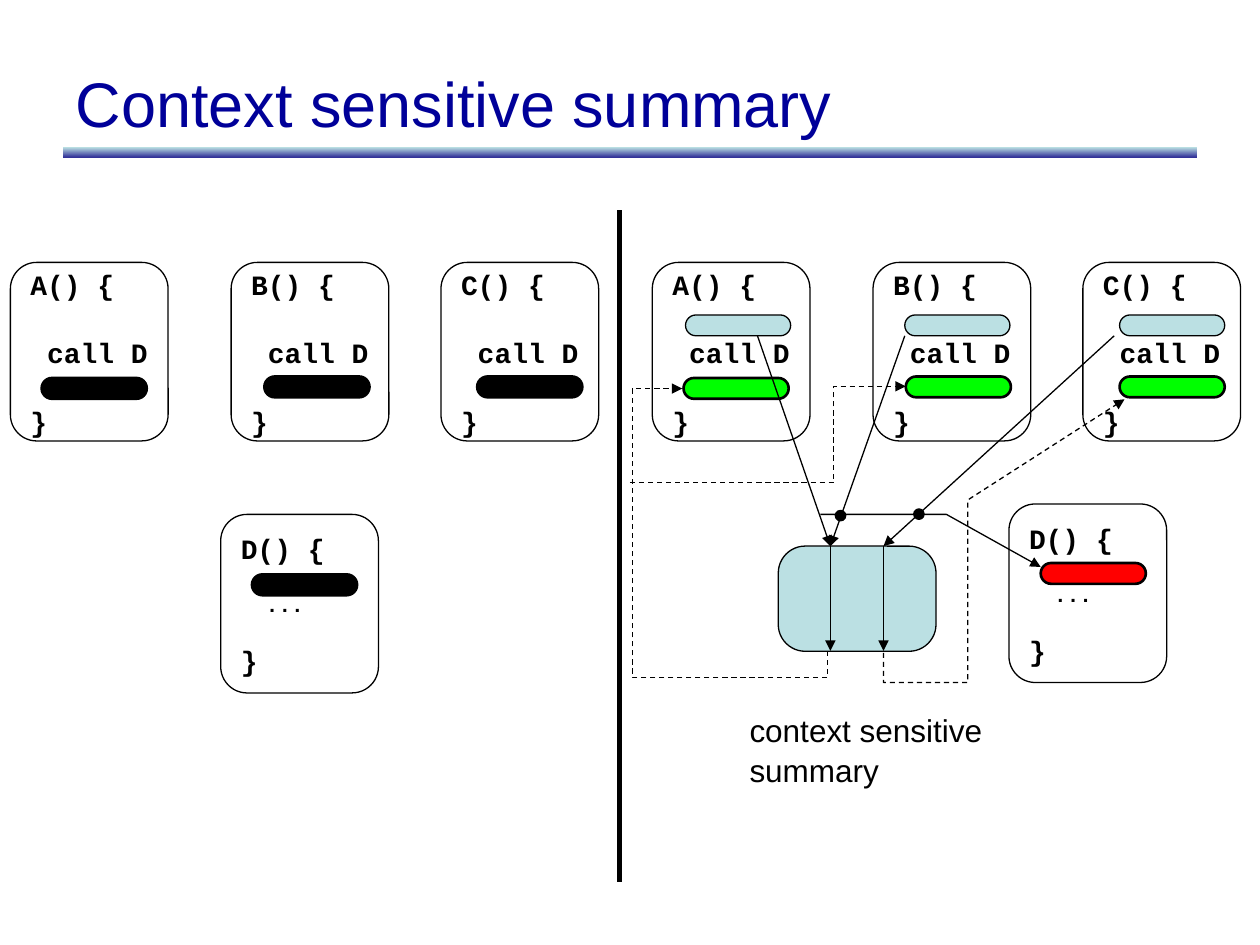
from dataclasses import dataclass

from lxml import etree
from pptx import Presentation
from pptx.dml.color import RGBColor
from pptx.enum import dml, shapes, text
from pptx.oxml import ns
from pptx.util import Cm, Pt

BLACK = RGBColor(0x00, 0x00, 0x00)
NAVY = RGBColor(0x00, 0x00, 0x99)
INDIGO = RGBColor(0x33, 0x33, 0x99)
PALE_BLUE = RGBColor(0xBB, 0xE0, 0xE3)
GREEN = RGBColor(0x00, 0xFF, 0x00)
RED = RGBColor(0xFF, 0x00, 0x00)

SHAPE = shapes.MSO_SHAPE
CONNECTOR = shapes.MSO_CONNECTOR
LINE_SPACING = 1.05
BOX_WIDTH, BOX_HEIGHT, BOX_TOP = 3.18, 3.6, 5.29
BOX_LEFTS = (0.21, 4.66, 8.89)
RIGHT_PANEL = 12.94
PILL_WIDTH, PILL_HEIGHT = 2.12, 0.42

Point = tuple[float, float]


@dataclass(frozen=True)
class CodeLine:
    content: str
    size: float = 16
    space_before: float = 0


@dataclass(frozen=True)
class Pill:
    left: float
    top: float
    color: RGBColor
    line_width: float = 1.5


@dataclass(frozen=True)
class Arrow:
    begin: Point
    end: Point


def apply_format(target, values: dict) -> None:
    for name, value in values.items():
        setattr(target, name, value)


def set_font(paragraph, name: str, size: float, color: RGBColor, bold: bool = False) -> None:
    apply_format(paragraph.font, {"name": name, "size": Pt(size), "bold": bold})
    paragraph.font.color.rgb = color


def set_line(shape, width: float = 0.75, dashed: bool = False, arrow: bool = False) -> None:
    shape.line.color.rgb = BLACK
    shape.line.width = Pt(width)
    if dashed:
        shape.line.dash_style = dml.MSO_LINE.DASH
    if arrow:
        outline = shape.element.spPr.find(ns.qn("a:ln"))
        etree.SubElement(outline, ns.qn("a:tailEnd"), type="triangle")


def add_preset(slide, kind, left: float, top: float, width: float, height: float,
               color: RGBColor | None = None, line_width: float = 0.75,
               rounding: float | None = None):
    shape = slide.shapes.add_shape(kind, Cm(left), Cm(top), Cm(width), Cm(height))
    shape.shadow.inherit = False
    if color is None:
        shape.fill.background()
    else:
        shape.fill.solid()
        shape.fill.fore_color.rgb = color
    set_line(shape, line_width)
    if rounding is not None:
        shape.adjustments[0] = rounding
    return shape


def add_function_box(slide, left: float, top: float, lines: list[CodeLine]) -> None:
    shape = add_preset(slide, SHAPE.ROUNDED_RECTANGLE, left, top, BOX_WIDTH, BOX_HEIGHT,
                       rounding=0.167)
    frame = shape.text_frame
    apply_format(frame, {"word_wrap": True, "margin_right": 0,
                         "vertical_anchor": text.MSO_ANCHOR.MIDDLE})
    for index, line in enumerate(lines):
        paragraph = frame.paragraphs[0] if index == 0 else frame.add_paragraph()
        paragraph.text = line.content
        apply_format(paragraph, {"alignment": text.PP_ALIGN.LEFT,
                                 "line_spacing": LINE_SPACING,
                                 "space_before": Pt(line.space_before)})
        set_font(paragraph, "Courier New", line.size, BLACK, bold=True)


def add_pill(slide, pill: Pill) -> None:
    add_preset(slide, SHAPE.ROUNDED_RECTANGLE, pill.left, pill.top, PILL_WIDTH, PILL_HEIGHT,
               pill.color, pill.line_width, rounding=0.5)


def add_line(slide, begin: Point, end: Point, kind=CONNECTOR.STRAIGHT, **line_format):
    connector = slide.shapes.add_connector(kind, *map(Cm, begin + end))
    set_line(connector, **line_format)
    etree.SubElement(connector.element.spPr, ns.qn("a:effectLst"))
    return connector


def add_elbow(slide, begin: Point, end: Point, adjustments: list[int],
              preset: str = "bentConnector3", rotation: int = 0) -> None:
    connector = add_line(slide, begin, end, CONNECTOR.ELBOW, dashed=True, arrow=True)
    properties = connector.element.spPr
    properties.find(ns.qn("a:xfrm")).set("rot", str(rotation * 60000))
    geometry = properties.find(ns.qn("a:prstGeom"))
    geometry.set("prst", preset)
    guides = geometry.find(ns.qn("a:avLst"))
    for number, value in enumerate(adjustments, start=1):
        etree.SubElement(guides, ns.qn("a:gd"), name=f"adj{number}", fmla=f"val {value}")


def add_path(slide, points: list[Point], dashed: bool = False) -> None:
    start, *rest = [(Cm(x), Cm(y)) for x, y in points]
    builder = slide.shapes.build_freeform(*start)
    builder.add_line_segments(rest, close=False)
    shape = builder.convert_to_shape()
    shape.shadow.inherit = False
    shape.fill.background()
    set_line(shape, dashed=dashed, arrow=True)


def add_heading(slide) -> None:
    rule = add_preset(slide, SHAPE.RECTANGLE, 1.27, 2.97, 22.86, 0.2)
    rule.line.fill.background()
    rule.fill.gradient()
    rule.fill.gradient_angle = 270
    for stop, color, position in zip(rule.fill.gradient_stops, (PALE_BLUE, INDIGO), (0, 1)):
        stop.color.rgb = color
        stop.position = position

    title = slide.shapes.title
    apply_format(title, {"left": Cm(1.27), "top": Cm(0.76),
                         "width": Cm(22.86), "height": Cm(2.62)})
    title.text_frame.text = "Context sensitive summary"
    title.text_frame.vertical_anchor = text.MSO_ANCHOR.MIDDLE
    paragraph = title.text_frame.paragraphs[0]
    paragraph.alignment = text.PP_ALIGN.LEFT
    set_font(paragraph, "Arial", 36, NAVY)


def add_caption(slide) -> None:
    caption = slide.shapes.add_textbox(Cm(14.86), Cm(14.17), Cm(5.21), Cm(1.78))
    frame = caption.text_frame
    apply_format(frame, {"word_wrap": True, "margin_right": 0})
    frame.text = "context sensitive\nsummary"
    for paragraph in frame.paragraphs:
        paragraph.line_spacing = LINE_SPACING
        set_font(paragraph, "Arial", 18, BLACK)


def main() -> None:
    presentation = Presentation()
    presentation.slide_width, presentation.slide_height = Cm(25.4), Cm(19.05)
    slide = presentation.slides.add_slide(presentation.slide_layouts[5])
    add_heading(slide)

    # Callers A, B, C in both panels, then the callee D
    for panel in (0, RIGHT_PANEL):
        for name, left in zip("ABC", BOX_LEFTS):
            add_function_box(slide, panel + left, BOX_TOP, [
                CodeLine(f"{name}() {{"), CodeLine(" call D", space_before=19),
                CodeLine("}", space_before=19)])
    for left, top in ((4.45, 10.37), (20.34, 10.16)):
        add_function_box(slide, left, top, [
            CodeLine("D() {"), CodeLine("  ...", 12, 14.3), CodeLine("}", space_before=14.3)])

    # Code regions before and after the calls
    for pill in (
        Pill(0.84, 7.62, BLACK), Pill(5.33, 7.59, BLACK), Pill(9.62, 7.59, BLACK),
        Pill(5.08, 11.58, BLACK), Pill(20.98, 11.35, RED),
        Pill(13.82, 6.35, PALE_BLUE, 0.75), Pill(18.24, 6.35, PALE_BLUE, 0.75),
        Pill(22.57, 6.35, PALE_BLUE, 0.75),
        Pill(13.78, 7.62, GREEN), Pill(18.26, 7.59, GREEN), Pill(22.57, 7.59, GREEN),
    ):
        add_pill(slide, pill)

    # Summary box with the flows into and through it
    add_preset(slide, SHAPE.ROUNDED_RECTANGLE, 15.69, 11.01, 3.18, 2.12, PALE_BLUE,
               rounding=0.256)
    entry_one, entry_two = (16.74, 11.01), (17.81, 11.01)
    for arrow in (
        Arrow((15.27, 6.77), entry_one), Arrow((18.24, 6.77), entry_one),
        Arrow(entry_one, (16.74, 13.12)),
        Arrow((22.46, 6.77), entry_two), Arrow(entry_two, (17.81, 13.12)),
    ):
        add_line(slide, arrow.begin, arrow.end, arrow=True)

    # Return flows to the callers, and the link to D
    add_elbow(slide, (12.57, 11.94), (17.86, 9.02), [-10200, 134500], "bentConnector4", 270)
    add_elbow(slide, (12.7, 9.73), (18.26, 7.79), [73900])
    add_path(slide, [(17.81, 13.16), (17.81, 13.76), (19.51, 13.76), (19.51, 10.08),
                     (22.67, 8.05)], dashed=True)
    add_path(slide, [(16.54, 10.37), (19.08, 10.37), (20.98, 11.43)])
    for left, top in ((16.84, 10.29), (18.42, 10.26)):
        add_preset(slide, SHAPE.OVAL, left, top, 0.21, 0.21, BLACK)

    add_caption(slide)
    add_line(slide, (12.49, 4.24), (12.49, 17.78), width=3)
    presentation.save("out.pptx")


if __name__ == "__main__":
    main()
